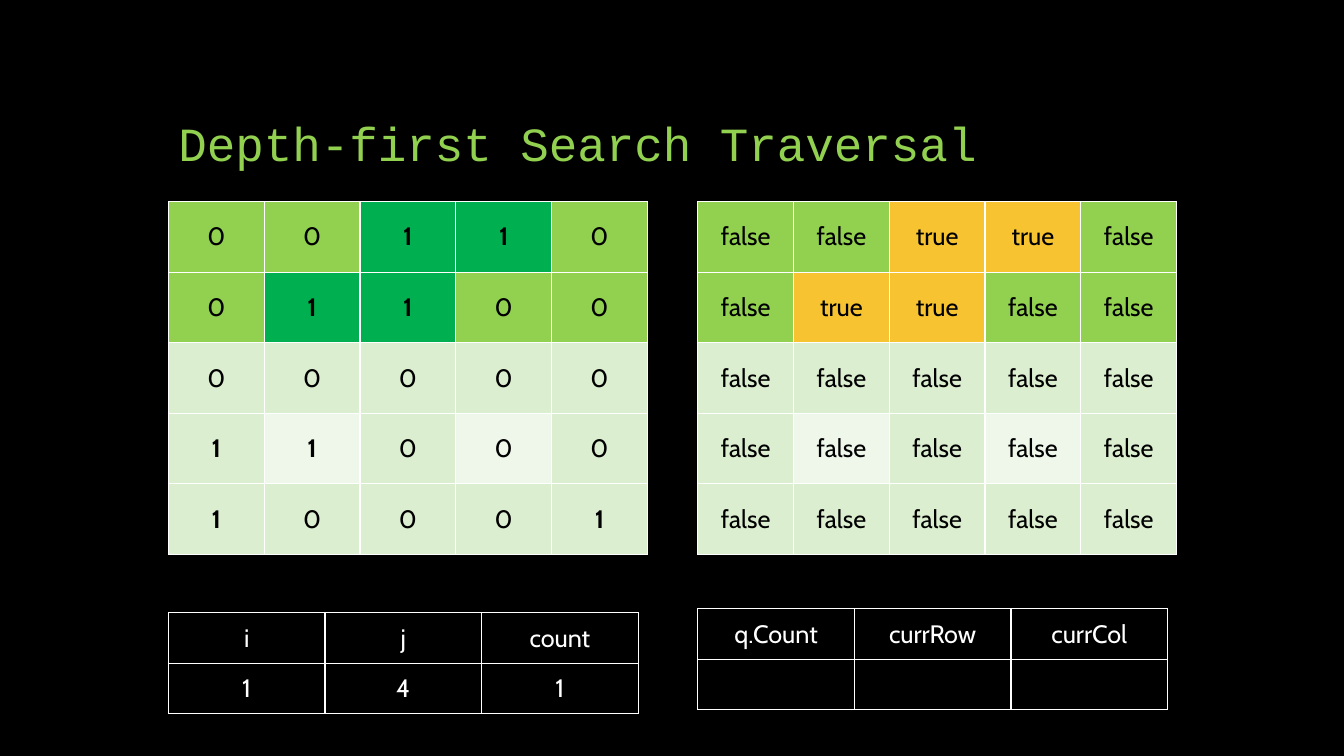
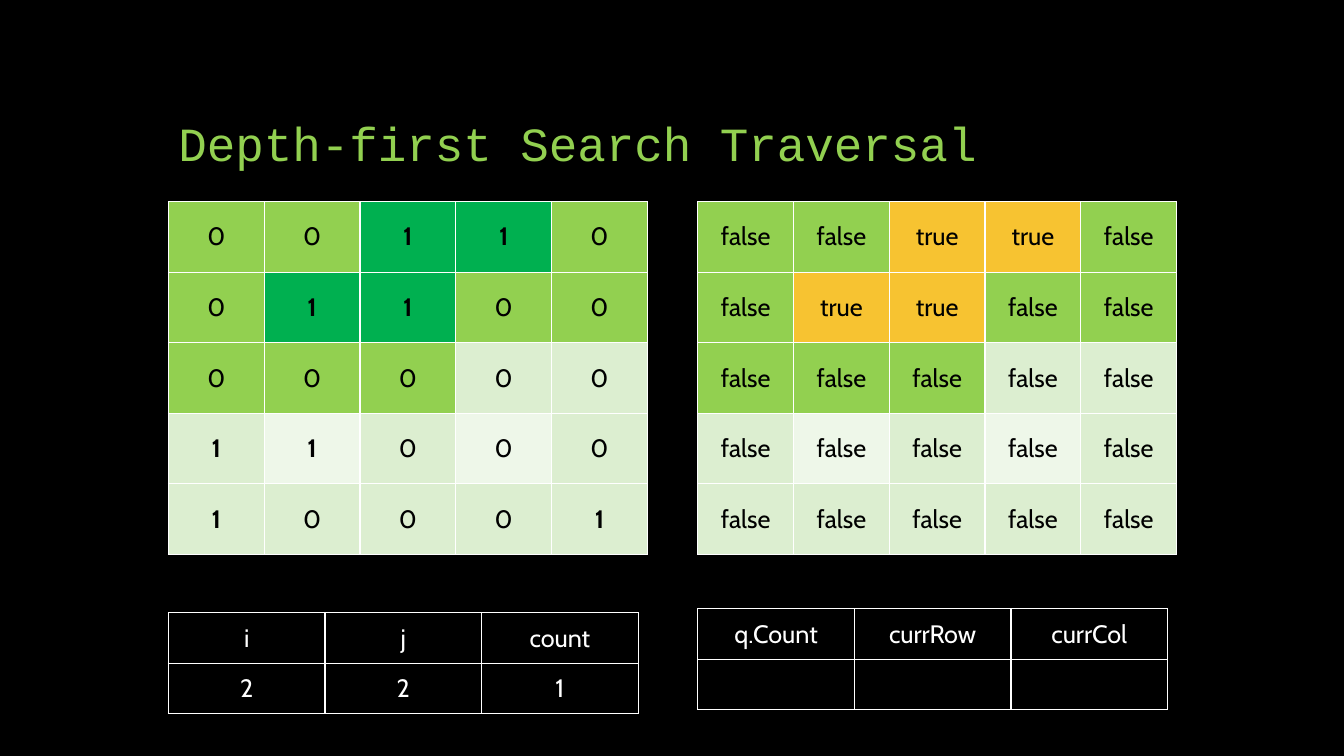
import lxml.etree
import pptx
import pptx.dml.color
import pptx.enum.text
import pptx.oxml.ns
import pptx.util

Inches = pptx.util.Inches
ALIGN = pptx.enum.text.PP_ALIGN
ANCHOR = pptx.enum.text.MSO_ANCHOR

COLORS = {
    "back": "000000",
    "line": "FFFFFF",
    "dark": "000000",
    "light": "FFFFFF",
    "seen": "92D050",
    "land": "00B050",
    "mark": "F7C331",
    "rest": "DCEED0",
    "pale": "EEF7E9",
}
GRID = ["00110", "01100", "00000", "11000", "10001"]
PALE = {(3, 1), (3, 3)}
LEFT, RIGHT = 1.67, 6.92


def color(name):
    """Return the named colour."""
    return pptx.dml.color.RGBColor.from_string(COLORS[name])


def write(frame, text, size=18, font="Cabin", ink="dark", bold=False,
          align=ALIGN.CENTER, space=None):
    """Put formatted text in the first paragraph of a frame."""
    para = frame.paragraphs[0]
    para.alignment = align
    para.line_spacing = space
    run = para.add_run()
    run.text = text
    run.font.size = pptx.util.Pt(size)
    run.font.name = font
    run.font.bold = bold
    run.font.color.rgb = color(ink)


def border(cell):
    """Draw a thin line on all four sides of a cell."""
    props = cell._tc.get_or_add_tcPr()
    qn = pptx.oxml.ns.qn
    for side in ("lnL", "lnR", "lnT", "lnB"):
        line = lxml.etree.SubElement(props, qn("a:" + side), w=str(pptx.util.Pt(1)))
        fill = lxml.etree.SubElement(line, qn("a:solidFill"))
        lxml.etree.SubElement(fill, qn("a:srgbClr"), val=COLORS["line"])


def table(slide, box, rows, style):
    """Add a table in a box; style gives the fill, ink and weight of a cell."""
    left, top, width, height = box
    count, span = len(rows), len(rows[0])
    grid = slide.shapes.add_table(count, span, *map(Inches, box)).table
    grid.first_row = grid.horz_banding = False
    for col in grid.columns:
        col.width = Inches(width / span)
    for r, row in enumerate(rows):
        grid.rows[r].height = Inches(height / count)
        for c, text in enumerate(row):
            cell = grid.cell(r, c)
            fill, ink, bold = style(r, c)
            border(cell)
            cell.vertical_anchor = ANCHOR.MIDDLE
            if fill:
                cell.fill.solid()
                cell.fill.fore_color.rgb = color(fill)
            else:
                cell.fill.background()
            if text:
                write(cell.text_frame, text, ink=ink, bold=bold)


def title(slide, box, text):
    """Add the slide title at the foot of its box."""
    frame = slide.shapes.add_textbox(*map(Inches, box)).text_frame
    frame.word_wrap = True
    frame.vertical_anchor = ANCHOR.BOTTOM
    write(frame, text, size=34, font="Courier New", ink="seen",
          align=ALIGN.LEFT, space=0.9)


def board(slide, box, rows, last, found, heavy):
    """Add a grid whose cells are shaded up to the last scanned one."""
    def style(r, c):
        """Choose the look of one grid cell."""
        one = GRID[r][c] == "1"
        if (r, c) <= last:
            fill = found if one else "seen"
        else:
            fill = "pale" if (r, c) in PALE else "rest"
        return fill, "dark", heavy and one
    table(slide, box, rows, style)


def state(slide, box, names, values):
    """Add a table of variable names over their values."""
    table(slide, box, [names, values], lambda r, c: (None, "light", False))


def step(deck, i, j, count):
    """Add the slide for one step of the scan."""
    slide = deck.slides.add_slide(deck.slide_layouts[6])
    title(slide, (LEFT, 0.5, 10, 1.25), "Depth-first Search Traversal")
    last = (i, j)
    flags = [["true" if mark == "1" and (r, c) <= last else "false"
              for c, mark in enumerate(row)] for r, row in enumerate(GRID)]
    board(slide, (LEFT, 2, 4.75, 3.5), GRID, last, "land", True)
    board(slide, (RIGHT, 2, 4.75, 3.5), flags, last, "mark", False)
    state(slide, (LEFT, 6.08, 4.66, 1), ["i", "j", "count"],
          [str(i), str(j), str(count)])
    state(slide, (RIGHT, 6.04, 4.66, 1), ["q.Count", "currRow", "currCol"],
          ["", "", ""])


def main():
    """Build and save the deck."""
    deck = pptx.Presentation()
    deck.slide_width, deck.slide_height = Inches(13.33), Inches(7.5)
    fill = deck.slide_master.background.fill
    fill.solid()
    fill.fore_color.rgb = color("back")
    for i, j, count in [(1, 4, 1), (2, 2, 1)]:
        step(deck, i, j, count)
    deck.save("out.pptx")


if __name__ == "__main__":
    main()
